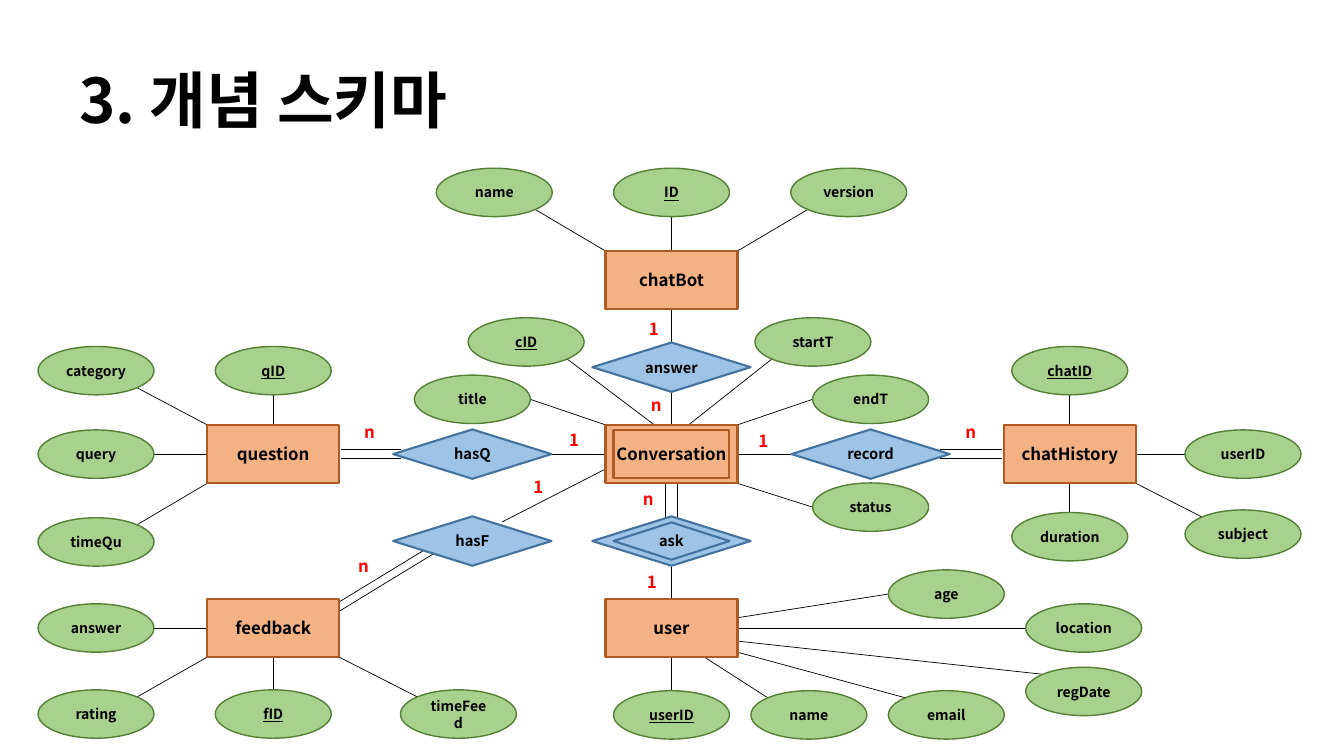
from lxml import etree
from pptx import Presentation
from pptx import util as u
from pptx.dml import color
from pptx.enum import shapes, text
from pptx.oxml import ns

FONT = "Noto Sans CJK KR"
COLORS = {
    "ink": "000000", "cardinality": "FF0000",
    "entity": "F4B183", "entity_line": "AF5C24",
    "relation": "9DC3E6", "relation_line": "43739E",
    "attribute": "A9D18E", "attribute_line": "538035",
}
FORMS = {
    "entity": shapes.MSO_SHAPE.RECTANGLE,
    "relation": shapes.MSO_SHAPE.DIAMOND,
    "attribute": shapes.MSO_SHAPE.OVAL,
}
SIZES = {"entity": (1.31, 0.58), "relation": (1.57, 0.49),
         "attribute": (1.15, 0.48), "cardinality": (0.33, 0.29)}
POINTS = {"entity": 12, "relation": 10.5, "attribute": 10, "cardinality": 12}
BORDERS = {"entity": 1.5, "relation": 1.5, "attribute": 1}

# Entities stand on even columns, relations halfway between them.
LEFT, TOP = 2.71, 2.78
COLUMN, ROW = 1.975, 0.8625
DIAGONAL = 0.71

deck = Presentation()
deck.slide_width, deck.slide_height = u.Inches(13.33), u.Inches(7.5)
page = deck.slides.add_slide(deck.slide_layouts[6])


def draw(role, column, row, label="", size=None, points=None, underline=False):
    """Centre a shape or text box on a grid point and write its label."""
    width, height = size or SIZES[role]
    frame = [u.Inches(length) for length in (
        LEFT + column * COLUMN - width / 2, TOP + row * ROW - height / 2, width, height)]
    if role in FORMS:
        box = page.shapes.add_shape(FORMS[role], *frame)
        box.shadow.inherit = False
        box.line.color.rgb = color.RGBColor.from_string(COLORS[role + "_line"])
        box.line.width = u.Pt(BORDERS[role])
        if not label:
            box.fill.background()
            return box
        box.fill.solid()
        box.fill.fore_color.rgb = color.RGBColor.from_string(COLORS[role])
    else:
        box = page.shapes.add_textbox(*frame)
    box.text_frame.word_wrap = True
    box.text_frame.vertical_anchor = text.MSO_ANCHOR.MIDDLE
    para = box.text_frame.paragraphs[0]
    para.alignment = text.PP_ALIGN.CENTER if role in FORMS else text.PP_ALIGN.LEFT
    span = para.add_run()
    span.text = label
    span.font.name = FONT
    span.font.size = u.Pt(points or POINTS[role])
    span.font.bold = True
    if underline:
        span.font.underline = True
    ink = COLORS["cardinality" if role == "cardinality" else "ink"]
    span.font.color.rgb = color.RGBColor.from_string(ink)
    etree.SubElement(span.font._element, ns.qn("a:ea"), typeface=FONT)
    return box


def connect(start_column, start_row, end_column, end_row):
    """Join two grid points with a thin line."""
    line = page.shapes.add_connector(
        shapes.MSO_CONNECTOR.STRAIGHT,
        u.Inches(LEFT + start_column * COLUMN), u.Inches(TOP + start_row * ROW),
        u.Inches(LEFT + end_column * COLUMN), u.Inches(TOP + end_row * ROW))
    line.line.color.rgb = color.RGBColor.from_string(COLORS["ink"])
    line.line.width = u.Pt(0.5)
    etree.SubElement(line._element.spPr, ns.qn("a:effectLst"))


title = draw("title", (6.67 - LEFT) / COLUMN, (1.025 - TOP) / ROW,
             "3. 개념 스키마", (11.96, 1.45), 44)
title.text_frame.paragraphs[0].line_spacing = 0.9

# Links between grid points; double ones are shifted to both sides.
single_links = [
    (2, 0.34, 2, 0.72), (2, 1.28, 2, 1.66), (2, 3.28, 2, 3.66),
    (1.4, 2, 1.67, 2), (2.33, 2, 2.6, 2), (1.15, 2.78, 1.67, 2.17),
]
double_links = [
    ((0.34, 2, 0.64, 2), (0, 0.05)),
    ((3.35, 2, 3.66, 2), (0, 0.05)),
    ((2, 2.34, 2, 2.73), (0.03, 0)),
    ((0.85, 3.03, 0.32, 3.77), (0.01, 0.04)),
]
for link in single_links:
    connect(*link)
for (c1, r1, c2, r2), (across, down) in double_links:
    for side in (-1, 1):
        connect(c1 + side * across, r1 + side * down, c2 + side * across, r2 + side * down)

# Attribute: label, offset from its entity in columns and rows,
# line start as shares of the entity's half size, line end as a compass point of the oval.
entities = [
    ("chatBot", 2, 0, [
        ("name", (-0.89, -1.01), (-1, -1), (1, 1)),
        ("ID", (0, -1.01), (0, -1), (0, 1)),
        ("version", (0.89, -1.01), (1, -1), (-1, 1))]),
    ("Conversation", 2, 2, [
        ("cID", (-0.73, -1.29), (-0.26, -1), (1, 1)),
        ("title", (-1, -0.63), (-1, -1), (1, 0)),
        ("startT", (0.71, -1.29), (0.26, -1), (-1, 1)),
        ("endT", (1, -0.63), (1, -1), (-1, 0)),
        ("status", (1, 0.61), (1, 1), (-1, 0))]),
    ("user", 2, 4, [
        ("userID", (0, 1), (0, 1), (0, -1)),
        ("name", (0.69, 1), (0.5, 1), (-1, -1)),
        ("email", (1.38, 1), (1, 0.83), (-1, -1)),
        ("age", (1.38, -0.39), (1, -0.35), (-1, 0)),
        ("location", (2.07, 0), (1, 0), (-1, 0)),
        ("regDate", (2.07, 0.73), (1, 0.45), (-1, -1))]),
    ("question", 0, 2, [
        ("category", (-0.89, -0.96), (-1, -1), (1, 1)),
        ("qID", (0, -0.96), (0, -1), (0, 1)),
        ("query", (-0.89, 0), (-1, 0), (1, 0)),
        ("timeQu", (-0.89, 1.01), (-1, 1), (1, -1))]),
    ("chatHistory", 4, 2, [
        ("chatID", (0, -0.96), (0, -1), (0, 1)),
        ("userID", (0.87, 0), (1, 0), (-1, 0)),
        ("duration", (0, 0.95), (0, 1), (0, -1)),
        ("subject", (0.87, 0.92), (1, 1), (-1, -1))]),
    ("feedback", 0, 4, [
        ("answer", (-0.89, 0), (-1, 0), (1, 0)),
        ("rating", (-0.89, 0.99), (-1, 1), (1, -1)),
        ("fID", (0, 0.99), (0, 1), (0, -1)),
        ("timeFeed", (0.93, 0.99), (1, 1), (-1, -1))]),
]
keys = {("chatBot", "ID"), ("Conversation", "cID"), ("user", "userID"),
        ("question", "qID"), ("chatHistory", "chatID"), ("feedback", "fID")}
half_entity, half_oval = [
    (SIZES[role][0] / 2 / COLUMN, SIZES[role][1] / 2 / ROW) for role in ("entity", "attribute")]
for entity, column, row, attributes in entities:
    for label, (across, down), start, end in attributes:
        reach = DIAGONAL if all(end) else 1
        connect(column + start[0] * half_entity[0], row + start[1] * half_entity[1],
                column + across + end[0] * reach * half_oval[0],
                row + down + end[1] * reach * half_oval[1])
        draw("attribute", column + across, row + down, label,
             underline=(entity, label) in keys)
    draw("entity", column, row, entity)

relations = [("answer", 2, 1), ("hasQ", 1, 2), ("record", 3, 2), ("ask", 2, 3), ("hasF", 1, 3)]
for label, column, row in relations:
    draw("relation", column, row, label)

# Inner outlines of the weak entity and its identifying relation.
draw("entity", 2, 2, size=(1.15, 0.47))
draw("relation", 2, 3, size=(1.15, 0.37))

cardinalities = {
    "1": [(1.92, 0.56), (1.52, 1.84), (2.47, 1.85), (1.91, 3.47), (1.34, 2.37)],
    "n": [(1.93, 1.43), (0.49, 1.74), (3.51, 1.74), (0.46, 3.29), (1.89, 2.51)],
}
for label, points in cardinalities.items():
    for column, row in points:
        draw("cardinality", column, row, label)

deck.save("out.pptx")
